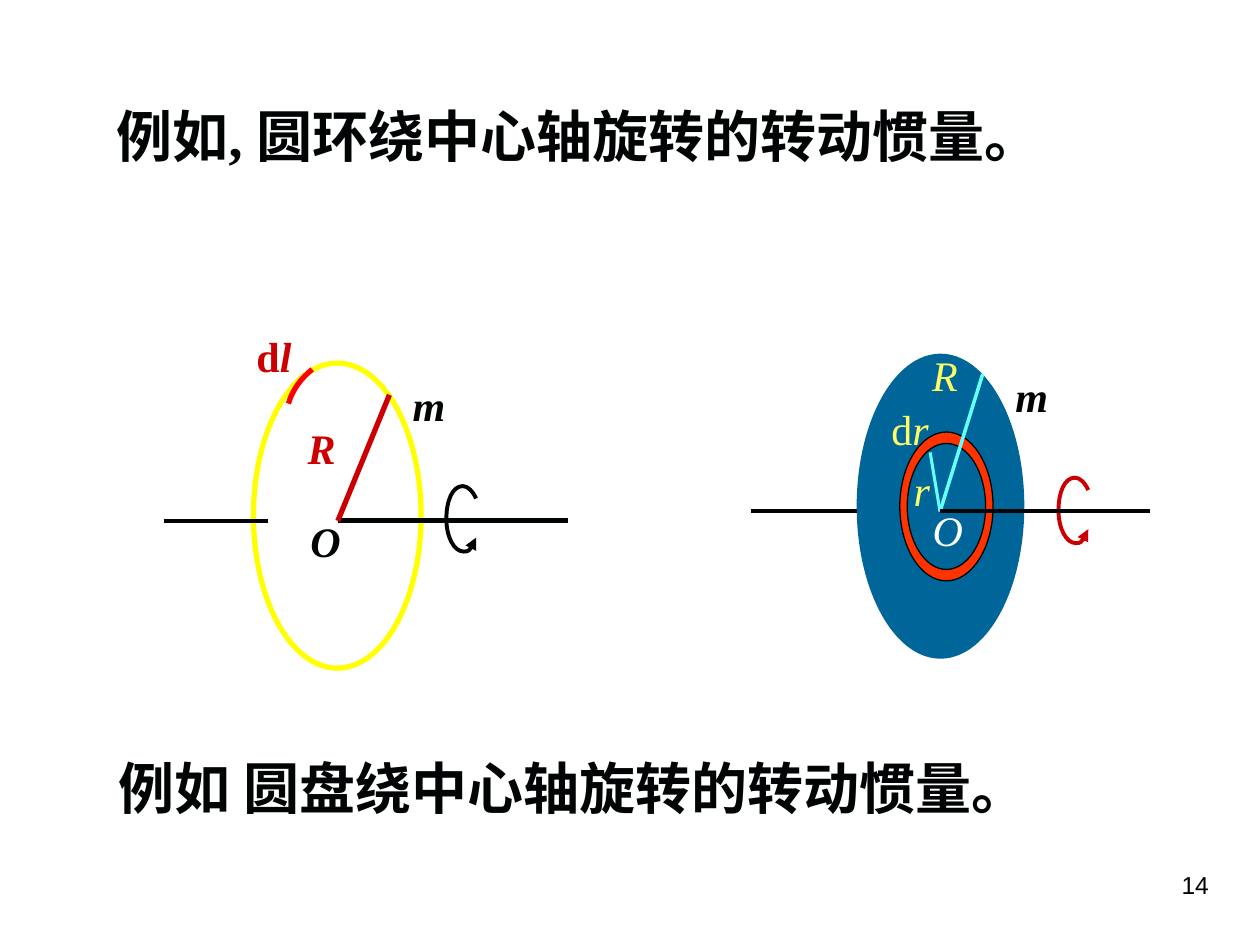
"""Slide on the moment of inertia of a ring and of a disk about the central axis."""
from math import cos, radians, sin

from lxml.etree import SubElement
from pptx import Presentation
from pptx.dml.color import RGBColor
from pptx.enum.shapes import MSO_CONNECTOR, MSO_SHAPE
from pptx.enum.text import PP_ALIGN
from pptx.oxml.ns import qn
from pptx.util import Cm, Pt

C = {"ink": "000404", "black": "000000", "white": "FFFFFF", "yellow": "FFFF00",
     "crimson": "CC0000", "red": "FF0000", "orange": "FF3300", "blue": "006699",
     "cyan": "66FFFF", "lemon": "FFFF66"}


def style(sp, fill, line, width):
    sp.shadow.inherit = False
    for part, color in ((sp.fill, fill), (sp.line.fill, line)):
        if color:
            part.solid()
            part.fore_color.rgb = RGBColor.from_string(C[color])
        else:
            part.background()
    if line:
        sp.line.width = Pt(width)


def add_curve(cx, cy, contours, rotation):
    a = radians(-rotation)
    placed = [[(Cm(cx + x * cos(a) - y * sin(a)), Cm(cy + x * sin(a) + y * cos(a)))
               for x, y in points] for points, _ in contours]
    fb = s.shapes.build_freeform(*placed[0][0])
    for i, (points, (_, closed)) in enumerate(zip(placed, contours)):
        if i:
            fb.move_to(*points[0])
        fb.add_line_segments(points[1:], close=closed)
    sp = fb.convert_to_shape()
    sp.rotation = rotation
    outline = sp._element.find(".//" + qn("a:path"))
    batch = []
    for step in list(outline):
        batch = batch + [step] if step.tag == qn("a:lnTo") else []
        if len(batch) == 3:
            bezier = SubElement(outline, qn("a:cubicBezTo"))
            batch[0].addprevious(bezier)
            for node in batch:
                bezier.append(node[0])
                outline.remove(node)
            batch = []
    return sp, outline


prs = Presentation()
prs.slide_width, prs.slide_height = Cm(25.4), Cm(19.05)
s = prs.slides.add_slide(prs.slide_layouts[6])

for x, y, fill, line in ((5.11, 7.32, None, "yellow"), (17.27, 7.13, "blue", None)):
    sp = s.shapes.add_shape(MSO_SHAPE.OVAL, Cm(x), Cm(y), Cm(3.38), Cm(6.15))
    style(sp, fill, line, 3)

k = 0.55
circle = [(-1, 0), (-1, -k), (-k, -1), (0, -1), (k, -1), (1, -k), (1, 0),
          (1, k), (k, 1), (0, 1), (-k, 1), (-1, k), (-1, 0)]
rims = [([(x * rx, y * ry) for x, y in circle], True)
        for rx, ry in ((0.94, 1.5), (0.79, -1.27))]
sp, _ = add_curve(19.08, 10.21, rims, 0)
style(sp, "orange", "ink", 0.75)

element = [(-0.17, -0.8), (-0.39, -0.62), (-0.57, -0.39), (-0.65, -0.11)]
spin = [(0.3, -0.41), (0.23, -0.56), (0.13, -0.66), (0.03, -0.66), (-0.18, -0.66),
        (-0.3, -0.36), (-0.3, 0), (-0.3, 0.36), (-0.15, 0.66), (0.05, 0.66),
        (0.15, 0.66), (0.25, 0.56), (0.3, 0.38)]
arcs = [(6.46, 8.24, element, (0.85, 0.44), 333.1, "red", 3),
        (9.3, 10.46, spin, (0.03, 0), 88.9, "ink", 2.25),
        (21.64, 10.29, spin, (0.03, 0), 88.9, "crimson", 2.25)]
for x, y, points, tip, rotation, color, width in arcs:
    sp, outline = add_curve(x, y, [(points, False), (points + [tip], True)], rotation)
    style(sp, None, color, width)
    size = {key: outline.get(key) for key in ("w", "h")}
    sector = SubElement(outline.getparent(), qn("a:path"), stroke="0", **size)
    outline.set("fill", "none")
    steps = list(outline)
    for step in steps[1 + len(points) // 3:]:
        sector.append(step)
    if points is spin:
        SubElement(sp.line._get_or_add_ln(), qn("a:tailEnd"), type="triangle")

lines = [
    (6.81, 10.5, 11.46, 10.5, "ink", 3),
    (3.3, 10.5, 5.41, 10.5, "ink", 2.25),
    (6.81, 10.5, 7.85, 7.96, "crimson", 3),
    (15.14, 10.31, 17.27, 10.31, "ink", 2.25),
    (18.95, 10.31, 19.81, 7.54, "cyan", 2),
    (18.95, 10.31, 18.75, 9.12, "cyan", 1.75),
    (18.95, 10.31, 23.19, 10.31, "ink", 2.25),
]
for x1, y1, x2, y2, color, width in lines:
    cn = s.shapes.add_connector(MSO_CONNECTOR.STRAIGHT, Cm(x1), Cm(y1), Cm(x2), Cm(y2))
    cn.line.color.rgb = RGBColor.from_string(C[color])
    cn.line.width = Pt(width)
    SubElement(cn._element.spPr, qn("a:effectLst"))

title = {"size": Pt(32), "name": "Times New Roman", "bold": True}
bold = {**title, "size": Pt(24)}
plain = {**bold, "bold": False}
number = {"size": Pt(14), "name": "Arial"}
texts = [
    (18.7, 17.41, 5.92, 1.32, "14", "", "black", number),
    (2.1, 1.93, 21.08, 1.63, "例如, 圆环绕中心轴旋转的转动惯量。", "", "ink", title),
    (4.92, 6.53, 1.47, 1.27, "d", "l", "crimson", bold),
    (6.01, 10.26, 1.07, 1.27, "", "O", "ink", bold),
    (8.07, 7.53, 1.7, 1.27, "", "m", "ink", bold),
    (5.95, 8.39, 1.9, 1.47, "", "R", "crimson", bold),
    (2.14, 15.06, 19.61, 1.63, "例如 圆盘绕中心轴旋转的转动惯量。", "", "ink", title),
    (18.54, 6.92, 2.11, 1.27, "", "R", "lemon", plain),
    (18.55, 10.05, 1.07, 1.27, "", "O", "white", plain),
    (20.22, 7.34, 1.7, 1.27, "", "m", "ink", bold),
    (18.17, 9.23, 1.07, 1.27, "", "r", "lemon", plain),
    (17.72, 8, 1.7, 1.27, "d", "r", "lemon", plain),
]
for x, y, w, h, upright, italic, color, font in texts:
    tf = s.shapes.add_textbox(Cm(x), Cm(y), Cm(w), Cm(h)).text_frame
    tf.word_wrap = True
    p = tf.paragraphs[0]
    p.alignment = (PP_ALIGN.RIGHT if font is number else
                   PP_ALIGN.LEFT if font is title else PP_ALIGN.JUSTIFY)
    for text, slanted in ((upright, False), (italic, True)):
        if text:
            r = p.add_run()
            r.text = text
            for key, value in {**font, "italic": slanted}.items():
                setattr(r.font, key, value)
            r.font.color.rgb = RGBColor.from_string(C[color])

prs.save("out.pptx")
